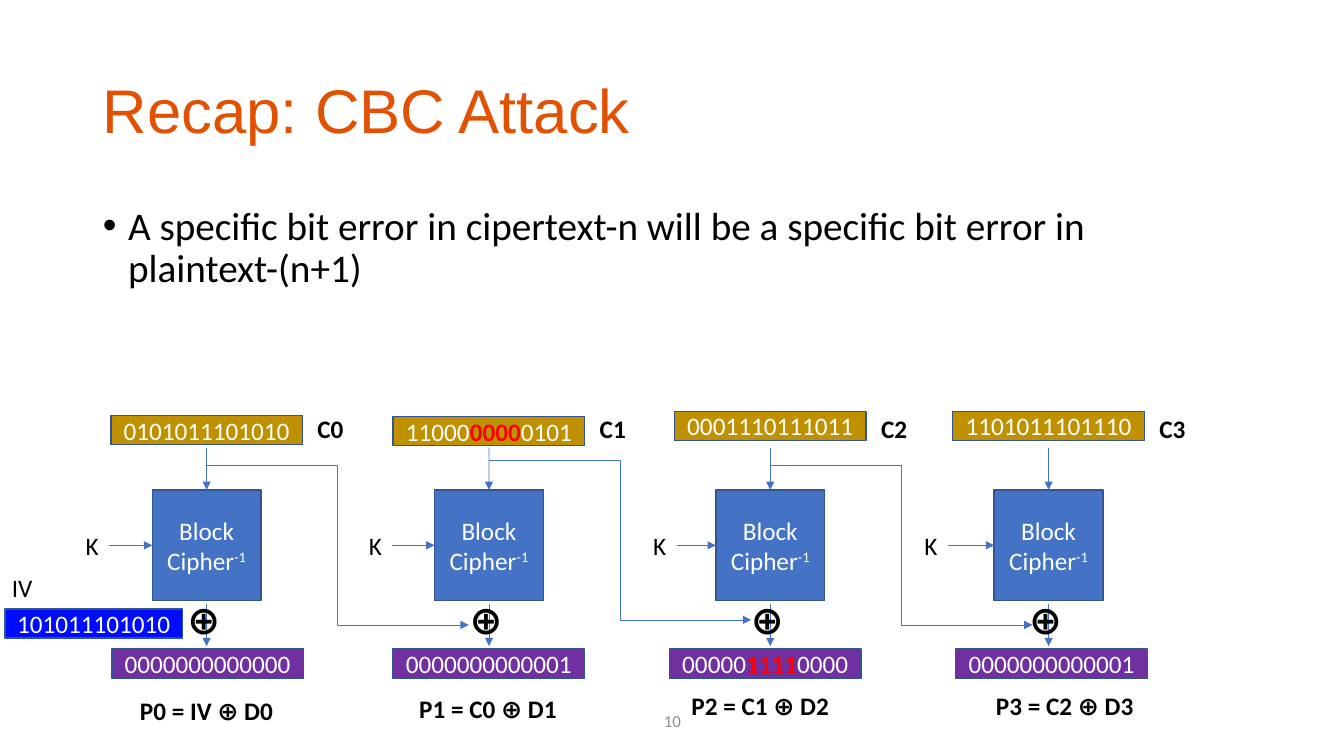
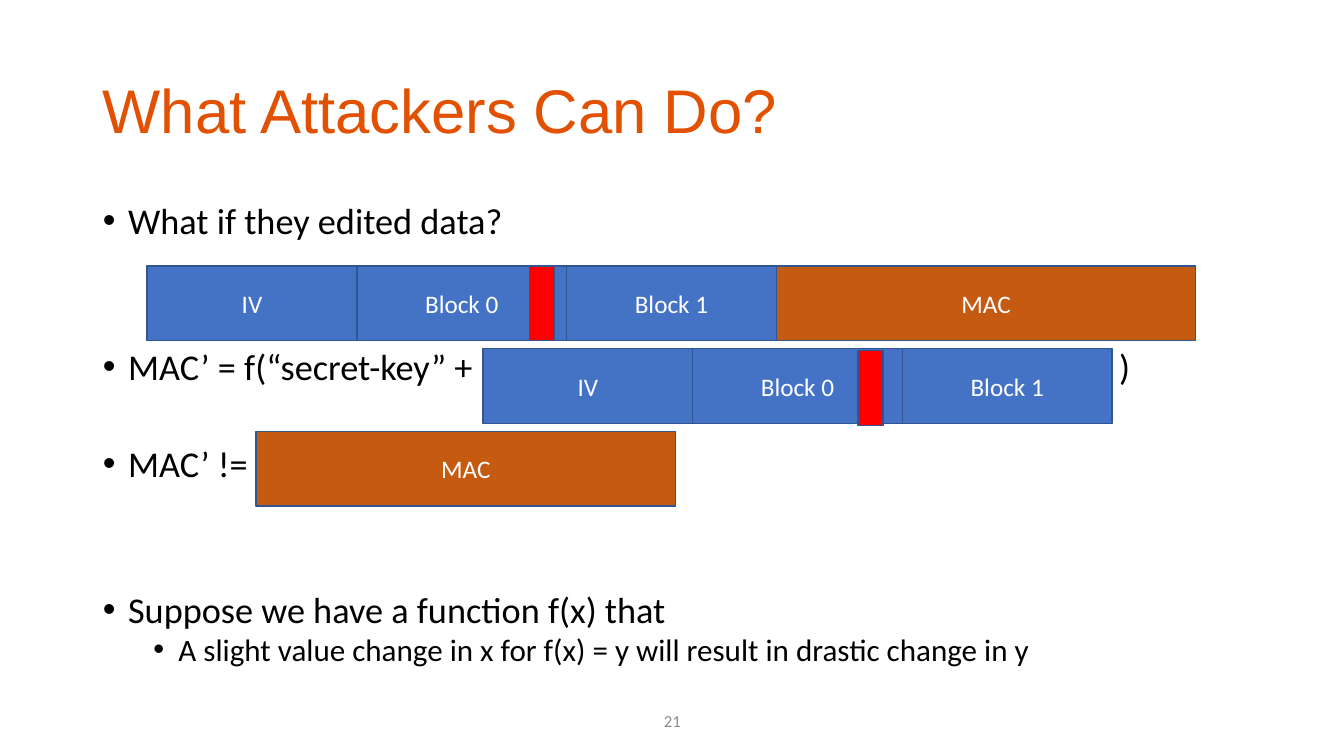
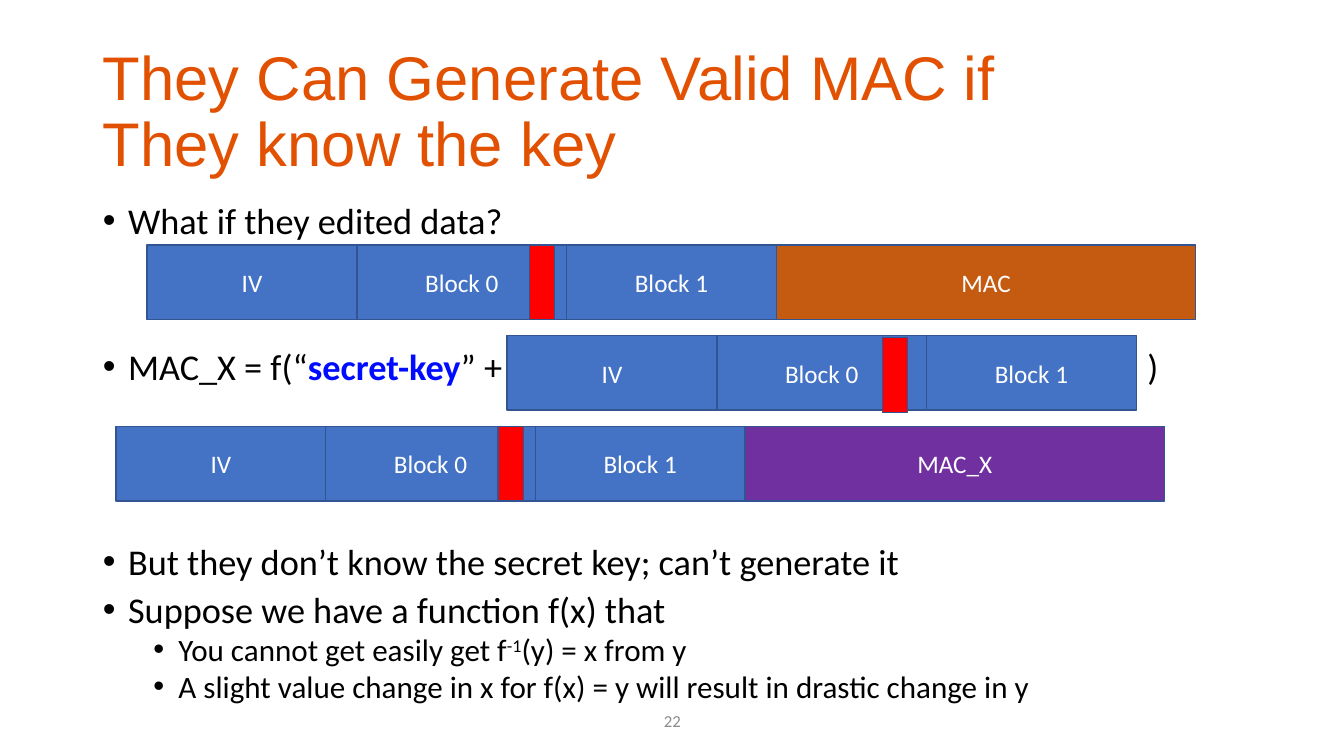
from dataclasses import dataclass

from lxml import etree
from pptx import Presentation
from pptx.dml.color import RGBColor
from pptx.enum.shapes import MSO_CONNECTOR, MSO_SHAPE
from pptx.enum.text import MSO_ANCHOR, MSO_AUTO_SIZE, PP_ALIGN
from pptx.oxml.ns import qn
from pptx.util import Inches, Pt

LEFT, CENTER = PP_ALIGN.LEFT, PP_ALIGN.CENTER
TOP, MIDDLE = MSO_ANCHOR.TOP, MSO_ANCHOR.MIDDLE
STRAIGHT, ELBOW = MSO_CONNECTOR.STRAIGHT, MSO_CONNECTOR.ELBOW
RECTANGLE = MSO_SHAPE.RECTANGLE
NO_FIT = MSO_AUTO_SIZE.NONE
TOP_SIDE, LEFT_SIDE = 0, 1


@dataclass(frozen=True)
class Theme:
    """Colours, fonts and type sizes of the deck."""
    title: str = "E15101"
    text: str = "000000"
    inverse: str = "FFFFFF"
    muted: str = "8C8C8C"
    block: str = "4472C4"
    outline: str = "325491"
    ciphertext: str = "BF9000"
    purple: str = "7030A0"
    mac: str = "C55A11"
    blue: str = "000CFF"
    red: str = "FF0000"
    title_font: str = "Arial"
    body_font: str = "Calibri"
    title_size: float = 44
    symbol_size: float = 28
    label_size: float = 18
    number_size: float = 12


@dataclass(frozen=True)
class ListStyle:
    """Type sizes and spacing of the bullets, by level."""
    sizes: tuple
    leading: float
    before: tuple


@dataclass(frozen=True)
class Run:
    """A stretch of text that differs from its paragraph."""
    text: str
    color: str = ""
    bold: bool = False
    raised: bool = False


@dataclass(frozen=True)
class Bullet:
    """A list item, with the number of empty rows above it."""
    runs: tuple
    level: int = 0
    rows_above: int = 0
    tab: float = 0


@dataclass(frozen=True)
class Stage:
    """One decryption column, placed around its vertical axis."""
    axis: float
    ciphertext: tuple
    code_top: float
    plaintext: tuple
    plain_left: float
    key_left: float
    equation: str
    equation_at: tuple
    tap: float = 0


THEME = Theme()
SLIDE_SIZE = (13.33, 7.5)
CONTENT_LEFT, CONTENT_WIDTH = 0.92, 11.5
TITLE_AREA = (CONTENT_LEFT, 0.4, CONTENT_WIDTH, 1.45)
NUMBER_AREA = (5.17, 6.95, 3, 0.4)
BODY_TOP = 2
NORMAL_LIST = ListStyle((28,), 0.9, (10,))
DENSE_LIST = ListStyle((25.9, 22.2), 0.8, (9.5, 5))
LIST_ROW = 35

BLOCK_WIDTH, BLOCK_HEIGHT = 2.08, 0.74
MARK_WIDTH = 0.25
CODE_WIDTH, CODE_HEIGHT = 1.9, 0.29
CIPHER_WIDTH, CIPHER_HEIGHT = 1.08, 1.1
CIPHER_TOP, PLAIN_TOP, LABEL_HEIGHT = 4.86, 6.44, 0.4
KEY_WIDTH, ARROW_LENGTH = 0.33, 0.42
FEEDBACK_WIDTH, FEEDBACK_HEIGHT = 2.6, 1.58

STAGES = (
    Stage(2.05, ("0101011101010",), 4.12, ("0000000000000",), 1.11, 0.75,
          "P0 = IV ⊕ D0", (1.29, 6.85), 4.62),
    Stage(4.85, ("11000", Run("0000", THEME.red, True), "0101"), 4.13,
          ("0000000000001",), 3.9, 3.56, "P1 = C0 ⊕ D1", (4.06, 6.83), 4.57),
    Stage(7.64, ("0001110111011",), 4.08,
          ("00000", Run("1111", THEME.red, True), "0000"), 6.64, 6.38,
          "P2 = C1 ⊕ D2", (6.76, 6.8), 4.62),
    Stage(10.4, ("1101011101110",), 4.08, ("0000000000001",), 9.48, 9.07,
          "P3 = C2 ⊕ D3", (9.78, 6.8)),
)


def inches(values):
    """Convert a sequence of lengths to inches."""
    return [Inches(value) for value in values]


def place(shape, area):
    """Move a shape to left, top, width, height."""
    shape.left, shape.top, shape.width, shape.height = inches(area)


def style_font(font, size, color, bold=False, name=THEME.body_font):
    """Set the look of a font."""
    font.name, font.size, font.bold = name, Pt(size), bold
    font.color.rgb = RGBColor.from_string(color)


def add_runs(paragraph, runs):
    """Append plain strings and styled runs to a paragraph."""
    for part in runs:
        part = Run(part) if isinstance(part, str) else part
        run = paragraph.add_run()
        run.text = part.text
        if part.color:
            run.font.color.rgb = RGBColor.from_string(part.color)
        if part.bold:
            run.font.bold = True
        if part.raised:
            run.font._element.set("baseline", "30000")


def write_lines(frame, lines, size, color, bold=False, align=LEFT):
    """Fill a text frame with one paragraph for each line of runs."""
    for index, runs in enumerate(lines):
        paragraph = frame.add_paragraph() if index else frame.paragraphs[0]
        paragraph.alignment = align
        style_font(paragraph.font, size, color, bold)
        add_runs(paragraph, runs)


def add_label(slide, text, area, size=THEME.label_size, color=THEME.text,
              bold=False, align=LEFT, anchor=TOP):
    """Add a one-line text box."""
    frame = slide.shapes.add_textbox(*inches(area)).text_frame
    frame.word_wrap = False
    frame.vertical_anchor = anchor
    write_lines(frame, [(text,)], size, color, bold, align)


def add_box(slide, area, fill, *lines):
    """Add an outlined rectangle with centred white lines."""
    box = slide.shapes.add_shape(RECTANGLE, *inches(area))
    box.shadow.inherit = False
    box.fill.solid()
    box.fill.fore_color.rgb = RGBColor.from_string(fill)
    box.line.color.rgb = RGBColor.from_string(THEME.outline)
    box.line.width = Pt(1)
    box.text_frame.word_wrap = True
    box.text_frame.vertical_anchor = MIDDLE
    write_lines(box.text_frame, lines, THEME.label_size, THEME.inverse,
                align=CENTER)
    return box


def add_arrow(slide, start, end, kind=STRAIGHT):
    """Add a thin connector with an arrowhead at its end."""
    arrow = slide.shapes.add_connector(kind, *inches(start + end))
    arrow.line.color.rgb = RGBColor.from_string(THEME.block)
    arrow.line.width = Pt(0.5)
    etree.SubElement(arrow.line._get_or_add_ln(), qn("a:tailEnd"), type="triangle")
    etree.SubElement(arrow._element.spPr, qn("a:effectLst"))
    return arrow


def format_bullet(paragraph, bullet, style):
    """Apply level, indent, spacing, marker and font to a list item."""
    level = bullet.level
    paragraph.level = level
    paragraph.alignment = LEFT
    paragraph.line_spacing = style.leading
    paragraph.space_before = Pt(style.before[level] + LIST_ROW * bullet.rows_above)
    paragraph.space_after = Pt(0)
    props = paragraph._p.get_or_add_pPr()
    props.set("marL", str(Inches(0.25 + 0.5 * level)))
    props.set("indent", str(Inches(-0.25)))
    etree.SubElement(props, qn("a:buFont"), typeface="Arial")
    etree.SubElement(props, qn("a:buChar"), char="•")
    if bullet.tab:
        tabs = etree.SubElement(props, qn("a:tabLst"))
        etree.SubElement(tabs, qn("a:tab"), pos=str(Inches(bullet.tab)), algn="l")
    style_font(paragraph.font, style.sizes[level], THEME.text)


def add_slide(deck, title, number, bullets, style=DENSE_LIST, body_height=4.76):
    """Add a slide with its title, bullets and number."""
    slide = deck.slides.add_slide(deck.slide_layouts[1])
    heading, body = slide.placeholders
    place(heading, TITLE_AREA)
    place(body, (CONTENT_LEFT, BODY_TOP, CONTENT_WIDTH, body_height))

    heading.text_frame.text = title
    heading.text_frame.vertical_anchor = MIDDLE
    heading.text_frame.auto_size = NO_FIT
    line = heading.text_frame.paragraphs[0]
    line.alignment, line.line_spacing = LEFT, 0.9
    style_font(line.font, THEME.title_size, THEME.title, name=THEME.title_font)

    frame = body.text_frame
    frame.auto_size = NO_FIT
    frame.vertical_anchor = TOP
    for index, bullet in enumerate(bullets):
        paragraph = frame.add_paragraph() if index else frame.paragraphs[0]
        format_bullet(paragraph, bullet, style)
        add_runs(paragraph, bullet.runs)
    add_label(slide, str(number), NUMBER_AREA, THEME.number_size, THEME.muted,
              align=CENTER, anchor=MIDDLE)
    return slide


def add_stage(slide, index, stage):
    """Draw one decryption column."""
    axis = stage.axis
    cipher = add_box(
        slide, (axis - CIPHER_WIDTH / 2, CIPHER_TOP, CIPHER_WIDTH, CIPHER_HEIGHT),
        THEME.block, ("Block",), ("Cipher", Run("-1", raised=True)))
    feed = add_arrow(slide, (axis, 4.44), (axis, CIPHER_TOP))
    feed.end_connect(cipher, TOP_SIDE)
    add_arrow(slide, (axis, 5.99), (axis, 5.99 + ARROW_LENGTH))

    add_box(slide, (axis - CODE_WIDTH / 2, stage.code_top, CODE_WIDTH, CODE_HEIGHT),
            THEME.ciphertext, stage.ciphertext)
    add_box(slide, (stage.plain_left, PLAIN_TOP, CODE_WIDTH, CODE_HEIGHT),
            THEME.purple, stage.plaintext)
    add_label(slide, f"C{index}", (axis + 1, 4.05, 0.46, LABEL_HEIGHT), bold=True)

    add_label(slide, "K", (stage.key_left, 5.21, KEY_WIDTH, LABEL_HEIGHT))
    key_end = stage.key_left + KEY_WIDTH
    key_arrow = add_arrow(slide, (key_end, 5.41), (key_end + ARROW_LENGTH, 5.41))
    key_arrow.end_connect(cipher, LEFT_SIDE)

    if stage.tap:
        add_arrow(slide, (axis, stage.tap),
                  (axis + FEEDBACK_WIDTH, stage.tap + FEEDBACK_HEIGHT), ELBOW)
    add_label(slide, "⊕", (axis - 0.29, 5.86, 0.54, 0.57), THEME.symbol_size,
              bold=True)
    add_label(slide, stage.equation, (*stage.equation_at, 1.6, LABEL_HEIGHT),
              bold=True)


def add_message(slide, left, top, mac="", mac_fill=THEME.mac, mark=(1.71, 0)):
    """Draw a row of data blocks, its MAC and the tampered bits in Block 0."""
    for column, name in enumerate(("IV", "Block 0", "Block 1")):
        add_box(slide, (left + column * BLOCK_WIDTH, top, BLOCK_WIDTH, BLOCK_HEIGHT),
                THEME.block, (name,))
    if mac:
        add_mac(slide, left + 3 * BLOCK_WIDTH, top, mac, mac_fill)
    shift, drop = mark
    add_box(slide, (left + BLOCK_WIDTH + shift, top + drop, MARK_WIDTH, BLOCK_HEIGHT),
            THEME.red)


def add_mac(slide, left, top, name, fill=THEME.mac):
    """Draw a MAC box, two blocks wide."""
    add_box(slide, (left, top, 2 * BLOCK_WIDTH, BLOCK_HEIGHT), fill, (name,))


def build_recap(deck):
    """Build the CBC decryption diagram."""
    claim = ("A specific bit error in cipertext-n will be a specific bit error "
             "in plaintext-(n+1)")
    slide = add_slide(deck, "Recap: CBC Attack", 10, [Bullet((claim,))], NORMAL_LIST)
    add_box(slide, (0.05, 6.04, 1.76, CODE_HEIGHT), THEME.blue, ("101011101010",))
    add_label(slide, "IV", (0.02, 5.63, 0.41, LABEL_HEIGHT))
    for index, stage in enumerate(STAGES):
        add_stage(slide, index, stage)


def build_edited_data(deck, question, function, drastic):
    """Build the slide on edited data failing the MAC check."""
    slide = add_slide(deck, "What Attackers Can Do?", 21, [
        question,
        Bullet(("MAC’ = f(“secret-key” +\t)",), rows_above=2, tab=10.08),
        Bullet(("MAC’ !=",), rows_above=1),
        Bullet((function,), rows_above=2),
        drastic,
    ])
    add_message(slide, 1.46, 2.64, "MAC")
    add_message(slide, 4.79, 3.46, mark=(1.64, 0.02))
    add_mac(slide, 2.54, 4.28, "MAC")


def build_known_key(deck, question, function, drastic):
    """Build the slide on forging a MAC with the key."""
    title = "They Can Generate Valid MAC if\vThey know the key"
    slide = add_slide(deck, title, 22, [
        question,
        Bullet(("MAC_X = f(“", Run("secret-key", THEME.blue, True), "” +\t)"),
               rows_above=2, tab=10.36),
        Bullet(("But they don’t know the secret key; can’t generate it",),
               rows_above=3),
        Bullet((function,)),
        Bullet(("You cannot get easily get f", Run("-1", raised=True),
                "(y) = x from y"), level=1),
        drastic,
    ], body_height=5.35)
    add_message(slide, 1.46, 2.43, "MAC")
    add_message(slide, 5.03, 3.33, mark=(1.64, 0.02))
    add_message(slide, 1.15, 4.23, "MAC_X", THEME.purple)


def main():
    """Build and save the deck."""
    deck = Presentation()
    deck.slide_width, deck.slide_height = inches(SLIDE_SIZE)
    question = Bullet(("What if they edited data?",))
    function = "Suppose we have a function f(x) that"
    drastic = Bullet(("A slight value change in x for f(x) = y will result in "
                      "drastic change in y",), level=1)
    build_recap(deck)
    build_edited_data(deck, question, function, drastic)
    build_known_key(deck, question, function, drastic)
    deck.save("out.pptx")


if __name__ == "__main__":
    main()
